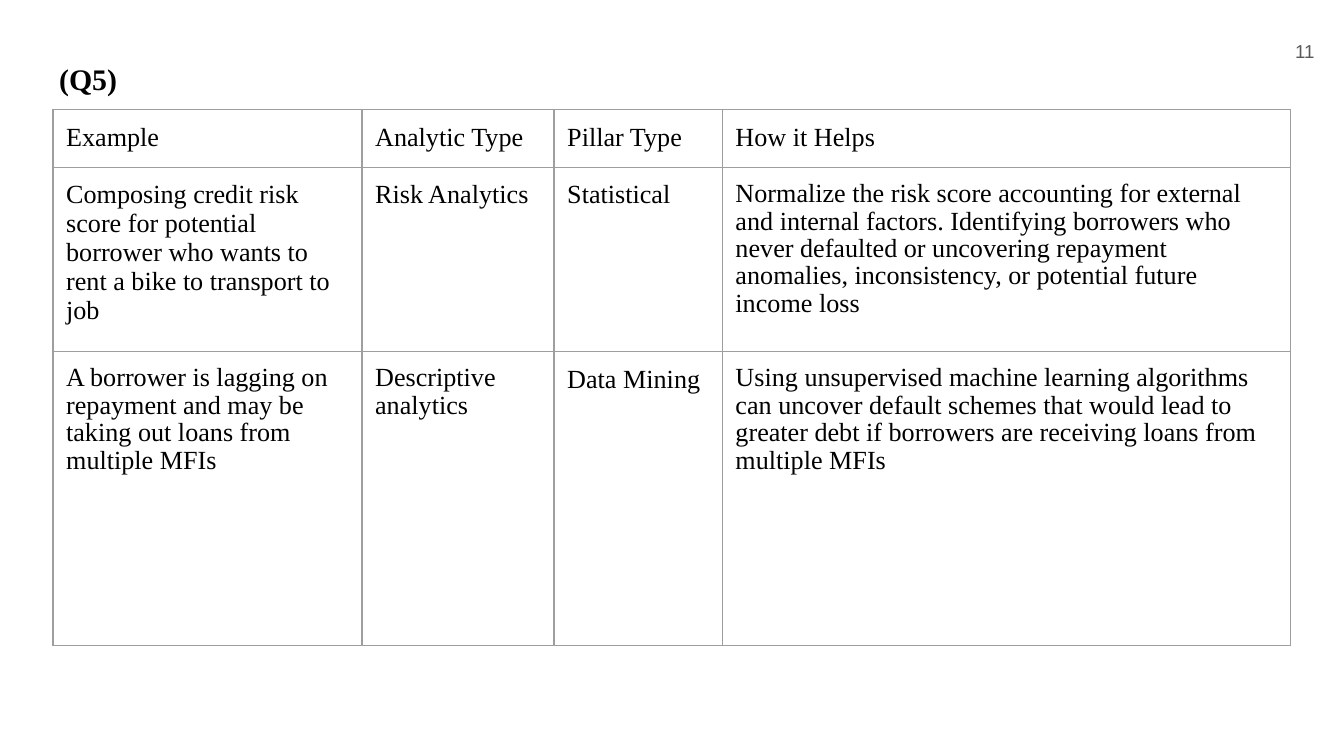
from lxml.etree import SubElement as Sub
from pptx import Presentation
from pptx.dml.color import RGBColor as Rgb
from pptx.enum.text import MSO_ANCHOR as Anchor, PP_ALIGN as Align
from pptx.oxml.ns import qn
from pptx.util import Cm, Pt

HUES = {"page": "FFFFFF", "ink": "000000", "grid": "9E9E9E", "note": "595959"}
SERIF, SANS = "Times New Roman", "Arial"
PAD = Cm(0.25)
COLS = (5.84, 3.63, 3.18, 10.74)
ROWS = (1.09, 3.48, 5.56)
CELLS = (
    ("Example", "Analytic Type", "Pillar Type", "How it Helps"),
    (
        "Composing credit risk score for potential borrower who wants to rent a bike to transport to job",
        "Risk Analytics",
        "Statistical",
        "Normalize the risk score accounting for external and internal factors. "
        "Identifying borrowers who never defaulted or uncovering repayment anomalies, "
        "inconsistency, or potential future income loss",
    ),
    (
        "A borrower is lagging on repayment and may be taking out loans from multiple MFIs",
        "Descriptive analytics",
        "Data Mining",
        "Using unsupervised machine learning algorithms can uncover default schemes "
        "that would lead to greater debt if borrowers are receiving loans from multiple MFIs",
    ),
)
TIGHT = {(1, 3), (2, 0), (2, 1), (2, 3)}


def write(frame, text, size, face=SERIF, hue="ink", bold=False):
    """Put styled text in a frame and return its paragraph."""
    frame.text = text
    para = frame.paragraphs[0]
    font = para.runs[0].font
    font.size, font.name, font.bold = Pt(size), face, bold
    font.color.rgb = Rgb.from_string(HUES[hue])
    return para


def add_text(slide, box, text, size, anchor=Anchor.TOP, **style):
    """Add a padded text box and return its paragraph."""
    frame = slide.shapes.add_textbox(*map(Cm, box)).text_frame
    frame.word_wrap = True
    frame.vertical_anchor = anchor
    frame.margin_left = frame.margin_right = PAD
    frame.margin_top = frame.margin_bottom = PAD
    return write(frame, text, size, **style)


def add_title(slide, box):
    """Place the question label."""
    add_text(slide, box, "(Q5)", 16, bold=True).line_spacing = 1.15


def add_number(slide, box):
    """Place the page number."""
    para = add_text(slide, box, "11", 10, Anchor.MIDDLE, face=SANS, hue="note")
    para.alignment = Align.RIGHT


def add_edges(cell):
    """Draw thin lines on all four sides of a cell."""
    props = cell._tc.get_or_add_tcPr()
    for spot, side in enumerate(("lnL", "lnR", "lnT", "lnB")):
        line = Sub(props, qn(f"a:{side}"), w=str(Pt(0.75)))
        fill = Sub(line, qn("a:solidFill"))
        Sub(fill, qn("a:srgbClr"), val=HUES["grid"])
        props.insert(spot, line)


def add_grid(slide, box):
    """Place the table of examples."""
    table = slide.shapes.add_table(len(ROWS), len(COLS), *map(Cm, box)).table
    table.first_row = table.horz_banding = False
    for col, width in zip(table.columns, COLS):
        col.width = Cm(width)
    for row, height in zip(table.rows, ROWS):
        row.height = Cm(height)
    for r, texts in enumerate(CELLS):
        for c, text in enumerate(texts):
            cell = table.cell(r, c)
            cell.margin_left = cell.margin_right = PAD
            cell.margin_top = cell.margin_bottom = PAD
            cell.fill.background()
            add_edges(cell)
            para = write(cell.text_frame, text, 14)
            if (r, c) in TIGHT:
                para.line_spacing, para.space_after = 0.95, Pt(10)


def main():
    """Build and save the slide."""
    deck = Presentation()
    deck.slide_width, deck.slide_height = Cm(25.4), Cm(14.29)
    slide = deck.slides.add_slide(deck.slide_layouts[6])
    back = slide.background.fill
    back.solid()
    back.fore_color.rgb = Rgb.from_string(HUES["page"])
    add_title(slide, (0.87, 0.79, 23.67, 1.6))
    add_number(slide, (23.57, 0.43, 1.52, 1.09))
    add_grid(slide, (1, 2.07, sum(COLS), sum(ROWS)))
    deck.save("out.pptx")


if __name__ == "__main__":
    main()
